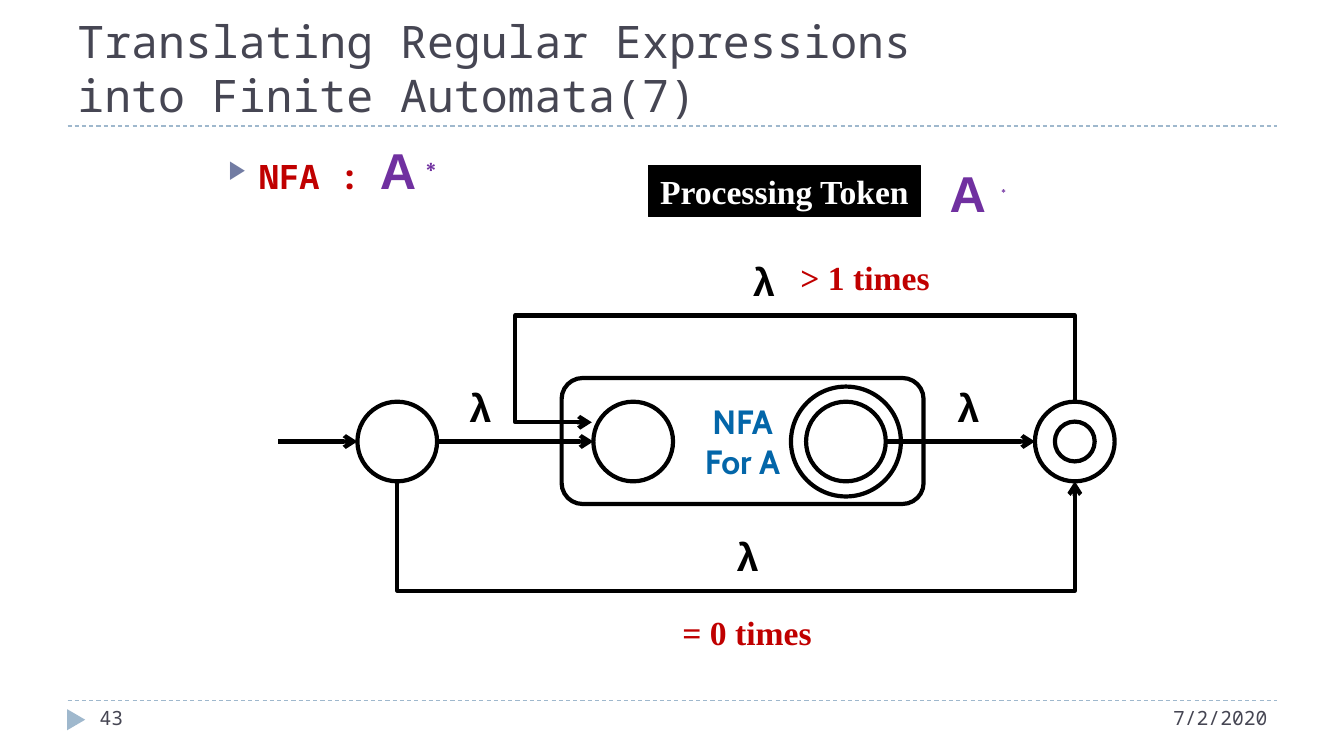
from lxml import etree
from pptx import Presentation
from pptx.dml.color import RGBColor
from pptx.enum import dml, shapes, text
from pptx.oxml import ns
from pptx.util import Inches, Pt

COLORS = {"black": "000000", "white": "FFFFFF", "rule": "9FB8CD", "title": "464653",
          "bullet": "727CA3", "red": "C00000", "purple": "7030A0", "blue": "0366A9"}
MONO, SANS, SERIF, CABIN = "Noto Sans Mono", "Arial", "Times New Roman", "Cabin"
KIND = shapes.MSO_SHAPE
ALIGN = text.PP_ALIGN
AXIS_Y, STATE = 4.38, 0.79


def rgb(name):
    """Return the named colour."""
    return RGBColor.from_string(COLORS[name])


def add_xml(parent, tag, **attrs):
    """Append a drawing element with the given attributes."""
    return etree.SubElement(parent, ns.qn(tag), attrs)


def style_run(r, size, font, color, bold=False, raised=False):
    """Format one run."""
    r.font.size, r.font.name, r.font.bold = Pt(size), font, bold
    r.font.color.rgb = rgb(color)
    if raised:
        r.font._element.set("baseline", "30000")


def write(tf, content, size, font, color, bold=False, align=ALIGN.LEFT, raised=False):
    """Fill a text frame with uniformly formatted text."""
    tf.text = content
    for p in tf.paragraphs:
        p.alignment = align
        for r in p.runs:
            style_run(r, size, font, color, bold, raised)


def add_text(s, box, content, *style, wrap=True, anchor=text.MSO_ANCHOR.TOP, **extra):
    """Add a text box."""
    tf = s.shapes.add_textbox(*map(Inches, box)).text_frame
    tf.word_wrap, tf.vertical_anchor = wrap, anchor
    write(tf, content, *style, **extra)


def add_label(s, box, content, *style, **extra):
    """Add a bold label that hugs its text."""
    add_text(s, box, content, *style, True, wrap=False, **extra)


def add_figure(s, kind, box, fill=None, line="black", width=3):
    """Add a preset shape with plain fill and outline."""
    sp = s.shapes.add_shape(kind, *map(Inches, box))
    sp.shadow.inherit = False
    if fill:
        sp.fill.solid()
        sp.fill.fore_color.rgb = rgb(fill)
    else:
        sp.fill.background()
    if line:
        sp.line.color.rgb, sp.line.width = rgb(line), Pt(width)
    else:
        sp.line.fill.background()
    return sp


def add_state(s, center_x, kind=KIND.OVAL, size=STATE, fill="white"):
    """Add an automaton state centred on the axis."""
    add_figure(s, kind, (center_x - size / 2, AXIS_Y - size / 2, size, size), fill)


def add_arrowhead(sp):
    """Put an open arrowhead at the end of a line."""
    add_xml(sp.line._get_or_add_ln(), "a:tailEnd", type="arrow")


def add_line(s, x1, x2, y, color="black", width=3):
    """Add a horizontal line."""
    line = s.shapes.add_connector(shapes.MSO_CONNECTOR.STRAIGHT,
                                  *map(Inches, (x1, y, x2, y)))
    line.line.color.rgb, line.line.width = rgb(color), Pt(width)
    add_xml(line._element.spPr, "a:effectLst")
    return line


def add_route(s, points):
    """Add a bent arrow through the given points."""
    pts = [(Inches(x), Inches(y)) for x, y in points]
    builder = s.shapes.build_freeform(*pts[0])
    builder.add_line_segments(pts[1:], close=False)
    sp = builder.convert_to_shape()
    sp.shadow.inherit = False
    sp.fill.background()
    sp.line.color.rgb, sp.line.width = rgb("black"), Pt(3)
    add_arrowhead(sp)


def add_bullet(s):
    """Add the bulleted expression."""
    tf = s.shapes.add_textbox(*map(Inches, (2.17, 1.33, 9, 5.4))).text_frame
    tf.word_wrap = True
    p = tf.paragraphs[0]
    pPr = p._p.get_or_add_pPr()
    pPr.set("marL", str(Inches(0.3)))
    pPr.set("indent", str(-Inches(0.3)))
    add_xml(add_xml(pPr, "a:buClr"), "a:srgbClr", val=COLORS["bullet"])
    add_xml(pPr, "a:buSzPct", val="76000")
    add_xml(pPr, "a:buFont", typeface=SANS)
    add_xml(pPr, "a:buChar", char="▶")
    for content, *style in (("NFA : ", 24, MONO, "red", True),
                            ("Α", 36, SANS, "purple", True),
                            ("∗", 36, SANS, "purple", True, True)):
        r = p.add_run()
        r.text = content
        style_run(r, *style)


def add_frame(s):
    """Add the title, rules and footer."""
    for y in (1.25, 6.95):
        add_line(s, 0.67, 12.67, y, "rule", 0.75).line.dash_style = dml.MSO_LINE.DASH
    add_figure(s, KIND.ISOSCELES_TRIANGLE, (0.65, 7.05, 0.21, 0.18), "rule", None).rotation = 90
    add_text(s, (0.67, 0.17, 12, 1.08), "Translating Regular Expressions \vinto Finite Automata(7)",
             32, MONO, "title", anchor=text.MSO_ANCHOR.BOTTOM)
    add_text(s, (9.33, 6.95, 3.34, 0.4), "7/2/2020", 14, MONO, "title", align=ALIGN.RIGHT)
    add_text(s, (0.89, 6.95, 2.89, 0.4), "43", 14, MONO, "title")


def add_automaton(s):
    """Add the states, transitions and their labels."""
    start, inner_start, inner_end, end = 3.94, 5.28 + 1, 8.39, 10.66
    radius = STATE / 2
    nfa = add_figure(s, KIND.ROUNDED_RECTANGLE, (5.57, 3.75, 3.59, 1.25))
    nfa.text_frame.vertical_anchor = text.MSO_ANCHOR.MIDDLE
    write(nfa.text_frame, "NFA\nFor A", 24, CABIN, "blue", True, ALIGN.CENTER)
    for x in (start, inner_start, inner_end):
        add_state(s, x)
    add_state(s, end, KIND.DONUT)
    add_state(s, inner_end, size=1.09, fill=None)
    for x1, x2 in ((2.76, start - radius), (start + radius, inner_start - radius),
                   (inner_end + radius, end - radius)):
        add_arrowhead(add_line(s, x1, x2, AXIS_Y))
    add_route(s, [(end, AXIS_Y - radius), (end, 3.13), (5.11, 3.13), (5.11, 4.19), (5.87, 4.19)])
    add_route(s, [(start, AXIS_Y + radius), (start, 5.86), (end, 5.86), (end, AXIS_Y + radius)])
    for x, y in ((4.56, 3.75), (7.37, 2.5), (9.4, 3.75), (7.21, 5.23)):
        add_label(s, (x, y, 0.42, 0.57), "λ", 28, SANS, "black")
    for x, y, times in ((6.67, 6.02, "= 0 times"), (7.84, 2.5, "> 1 times")):
        add_label(s, (x, y, 1.5, 0.51), times, 24, SERIF, "red")


def add_token(s):
    """Add the processing token heading."""
    sp = add_figure(s, KIND.RECTANGLE, (6.43, 1.64, 2.7, 0.51), "black", width=0.75)
    sp.text_frame.word_wrap = False
    write(sp.text_frame, "Processing Token", 24, SERIF, "white", True, ALIGN.CENTER)
    add_label(s, (9.32, 1.56, 0.57, 0.71), "Α", 36, SANS, "purple")
    add_label(s, (9.79, 1.72, 0.28, 0.28), "∗", 16, SANS, "purple", raised=True)


def main():
    """Build and save the slide."""
    prs = Presentation()
    prs.slide_width, prs.slide_height = Inches(13.33), Inches(7.5)
    s = prs.slides.add_slide(prs.slide_layouts[6])
    add_frame(s)
    add_bullet(s)
    add_token(s)
    add_automaton(s)
    prs.save("out.pptx")


if __name__ == "__main__":
    main()
